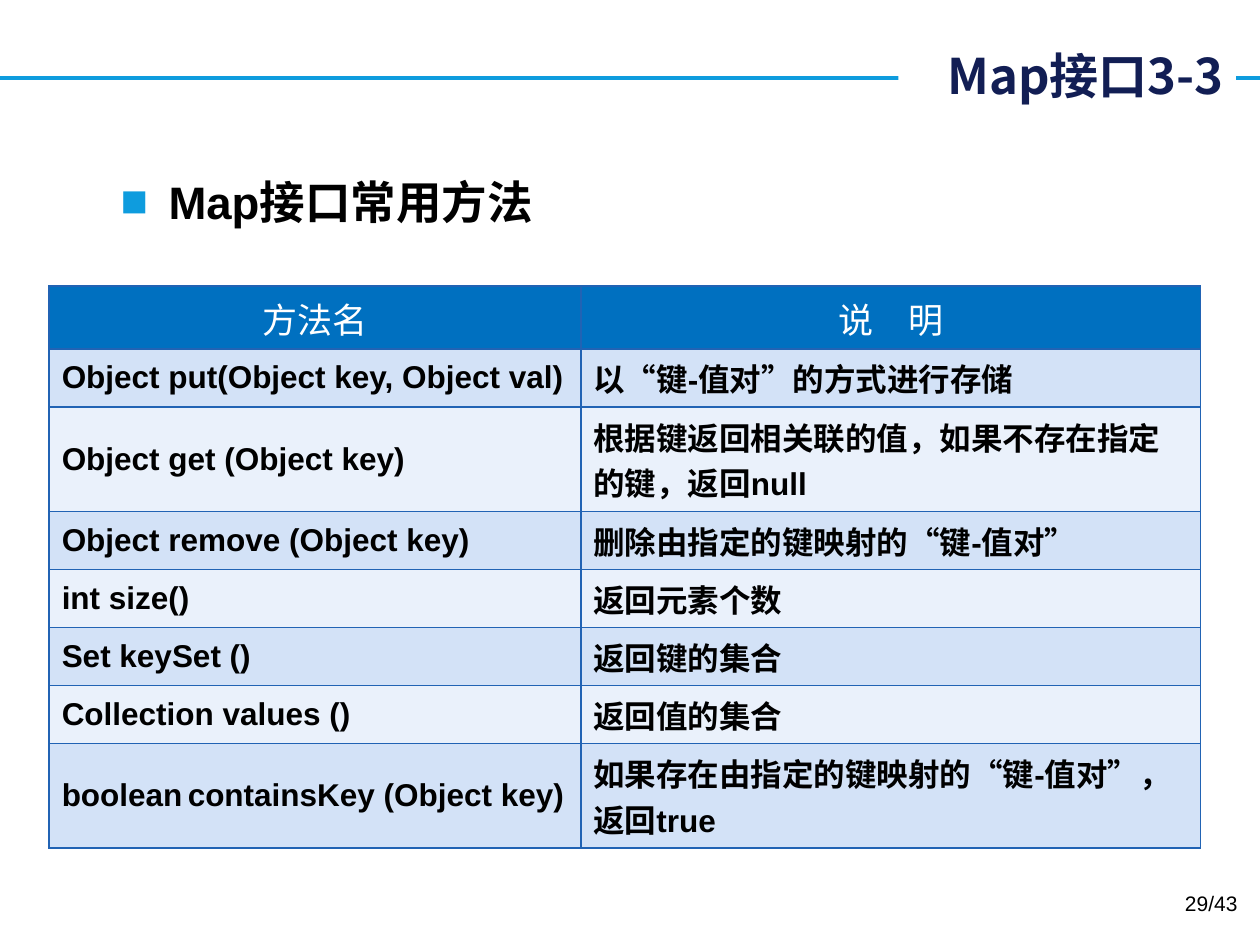
from dataclasses import dataclass

from lxml.etree import SubElement
from pptx import Presentation
from pptx.dml.color import RGBColor
from pptx.enum.shapes import MSO_CONNECTOR, MSO_SHAPE
from pptx.enum.text import MSO_ANCHOR, PP_ALIGN
from pptx.oxml.ns import qn
from pptx.util import Inches, Pt


@dataclass(frozen=True)
class Theme:
    accent: str = "0E9CDE"
    navy: str = "121E54"
    black: str = "000000"
    white: str = "FFFFFF"
    header: str = "0070C0"
    border: str = "2163B4"
    bands: tuple = ("D3E2F7", "EAF1FB")
    latin: str = "Arial"
    chinese: str = "Noto Sans CJK SC"
    title_size: int = 28
    heading_size: int = 26
    header_size: int = 20
    cell_size: int = 18
    footer_size: int = 12


THEME = Theme()

HEADERS = ("方法名", "说　明")
METHODS = [
    ("Object put(Object key, Object val)", "以“键-值对”的方式进行存储"),
    ("Object get (Object key)", "根据键返回相关联的值，如果不存在指定的键，返回null"),
    ("Object remove (Object key)", "删除由指定的键映射的“键-值对”"),
    ("int size()", "返回元素个数"),
    ("Set keySet ()", "返回键的集合"),
    ("Collection values ()", "返回值的集合"),
    ("boolean\tcontainsKey (Object key)", "如果存在由指定的键映射的“键-值对”，返回true"),
]
COLUMN_WIDTHS = (4.22, 4.92)
HEADER_HEIGHT, SINGLE_HEIGHT, DOUBLE_HEIGHT = 0.5, 0.46, 0.83
DOUBLE_ROWS = (2, 7)


def write(para, text, size, color, font=THEME.latin, bold=False, align=PP_ALIGN.LEFT):
    para.alignment = align
    span = para.add_run()
    span.text = text
    span.font.size = Pt(size)
    span.font.bold = bold
    span.font.name = font
    span.font.color.rgb = RGBColor.from_string(color)
    SubElement(span.font._element, qn("a:ea"), typeface=THEME.chinese)


def add_text_box(page, left, top, width, height):
    box = page.shapes.add_textbox(Inches(left), Inches(top), Inches(width), Inches(height))
    box.text_frame.word_wrap = True
    return box.text_frame.paragraphs[0]


def add_title(page, left, top, width, height):
    middle = Inches(0.62)
    rule = page.shapes.add_connector(MSO_CONNECTOR.STRAIGHT, 0, middle, Inches(10), middle)
    rule.line.color.rgb = RGBColor.from_string(THEME.accent)
    rule.line.width = Pt(2.25)
    SubElement(rule._element.spPr, qn("a:effectLst"))

    box = page.shapes.add_shape(
        MSO_SHAPE.RECTANGLE, Inches(left), Inches(top), Inches(width), Inches(height))
    box.shadow.inherit = False
    box.fill.solid()
    box.fill.fore_color.rgb = RGBColor.from_string(THEME.white)
    box.line.fill.background()
    box.text_frame.word_wrap = True
    box.text_frame.vertical_anchor = MSO_ANCHOR.MIDDLE
    write(box.text_frame.paragraphs[0], "Map接口3-3", THEME.title_size, THEME.navy,
          THEME.chinese, True, PP_ALIGN.RIGHT)


def add_heading(page, left, top, width, height):
    para = add_text_box(page, left, top, width, height)
    write(para, "Map接口常用方法", THEME.heading_size, THEME.black, bold=True)
    properties = para._p.get_or_add_pPr()
    indent = Inches(0.38)
    properties.set("marL", str(indent))
    properties.set("indent", str(-indent))
    bullet_color = SubElement(properties, qn("a:buClr"))
    SubElement(bullet_color, qn("a:srgbClr"), val=THEME.accent)
    SubElement(properties, qn("a:buFont"), typeface=THEME.latin)
    SubElement(properties, qn("a:buChar"), char="■")


def style_cell(cell, fill):
    properties = cell._tc.get_or_add_tcPr()
    for side in ("a:lnL", "a:lnR", "a:lnT", "a:lnB"):
        edge = SubElement(properties, qn(side), w=str(Pt(1)))
        paint = SubElement(edge, qn("a:solidFill"))
        SubElement(paint, qn("a:srgbClr"), val=THEME.border)
    cell.fill.solid()
    cell.fill.fore_color.rgb = RGBColor.from_string(fill)


def add_method_table(page, left, top, width, height):
    rows = [HEADERS, *METHODS]
    table = page.shapes.add_table(
        len(rows), len(HEADERS), Inches(left), Inches(top), Inches(width), Inches(height)).table
    for column, column_width in zip(table.columns, COLUMN_WIDTHS):
        column.width = Inches(column_width)
    for row_index, texts in enumerate(rows):
        is_header = row_index == 0
        row_height = DOUBLE_HEIGHT if row_index in DOUBLE_ROWS else SINGLE_HEIGHT
        table.rows[row_index].height = Inches(HEADER_HEIGHT if is_header else row_height)
        for column_index, text in enumerate(texts):
            cell = table.cell(row_index, column_index)
            para = cell.text_frame.paragraphs[0]
            if is_header:
                style_cell(cell, THEME.header)
                write(para, text, THEME.header_size, THEME.white, THEME.chinese,
                      align=PP_ALIGN.CENTER)
            else:
                style_cell(cell, THEME.bands[(row_index - 1) % 2])
                cell.vertical_anchor = MSO_ANCHOR.MIDDLE
                write(para, text, THEME.cell_size, THEME.black, bold=True)


def add_page_number(page, left, top, width, height):
    para = add_text_box(page, left, top, width, height)
    write(para, "29/43", THEME.footer_size, THEME.black, align=PP_ALIGN.RIGHT)


def main():
    deck = Presentation()
    deck.slide_width, deck.slide_height = Inches(10), Inches(7.5)
    page = deck.slides.add_slide(deck.slide_layouts[6])
    add_title(page, 7.13, 0.31, 2.68, 0.57)
    add_heading(page, 0.86, 1.33, 8.36, 5.63)
    add_method_table(page, 0.39, 2.27, 9.14, 4.46)
    add_page_number(page, 7.59, 7.02, 2.33, 0.4)
    deck.save("out.pptx")


if __name__ == "__main__":
    main()
